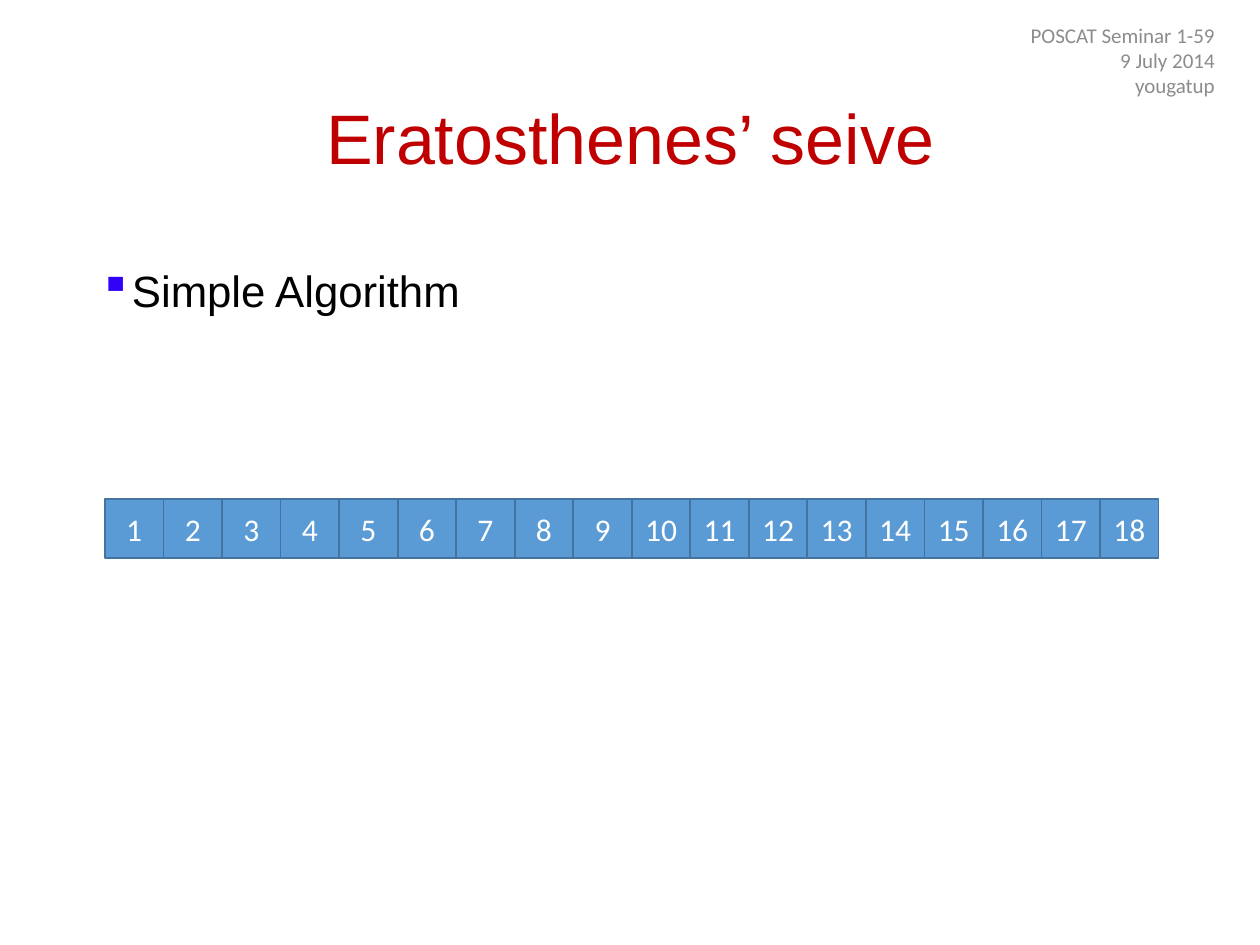
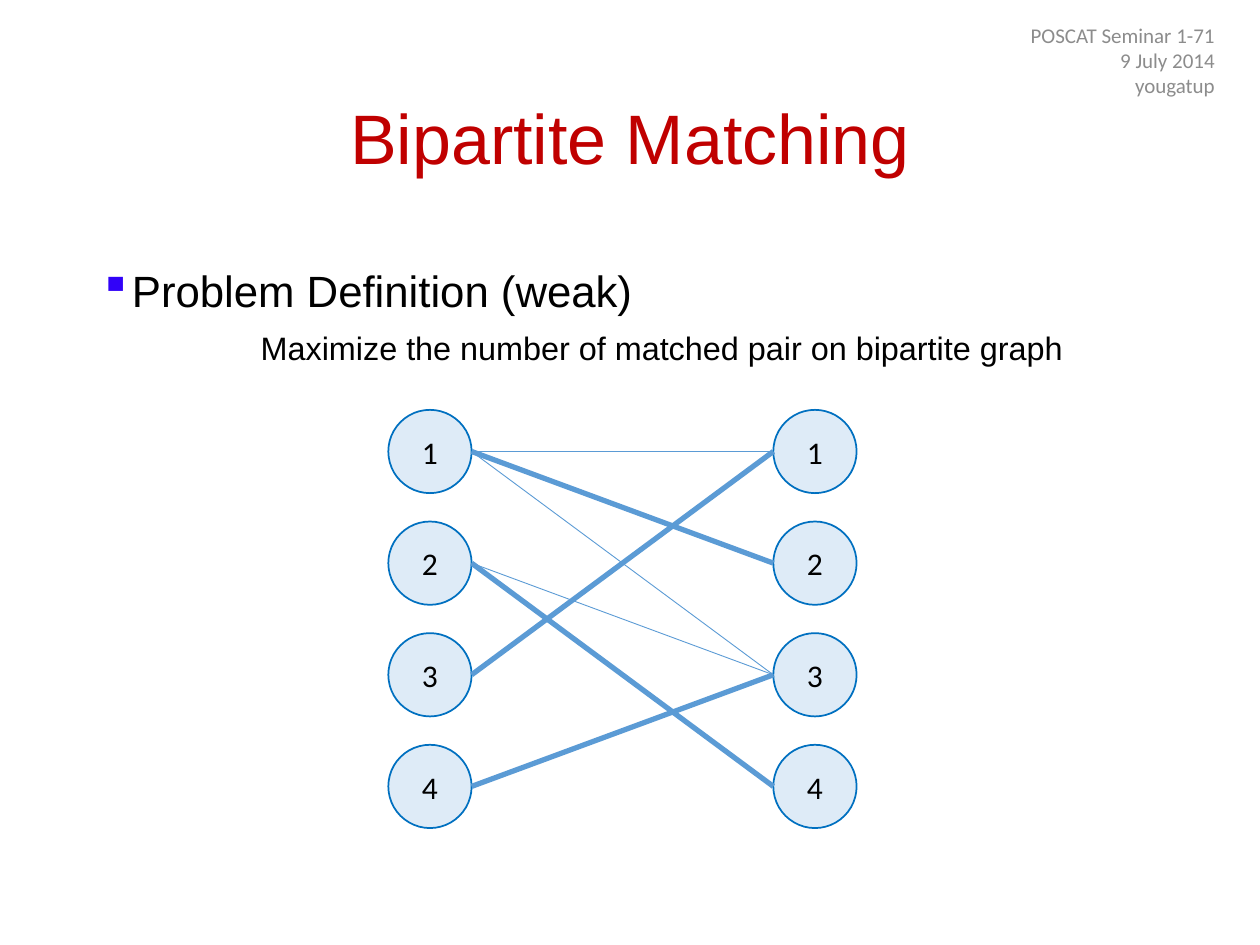
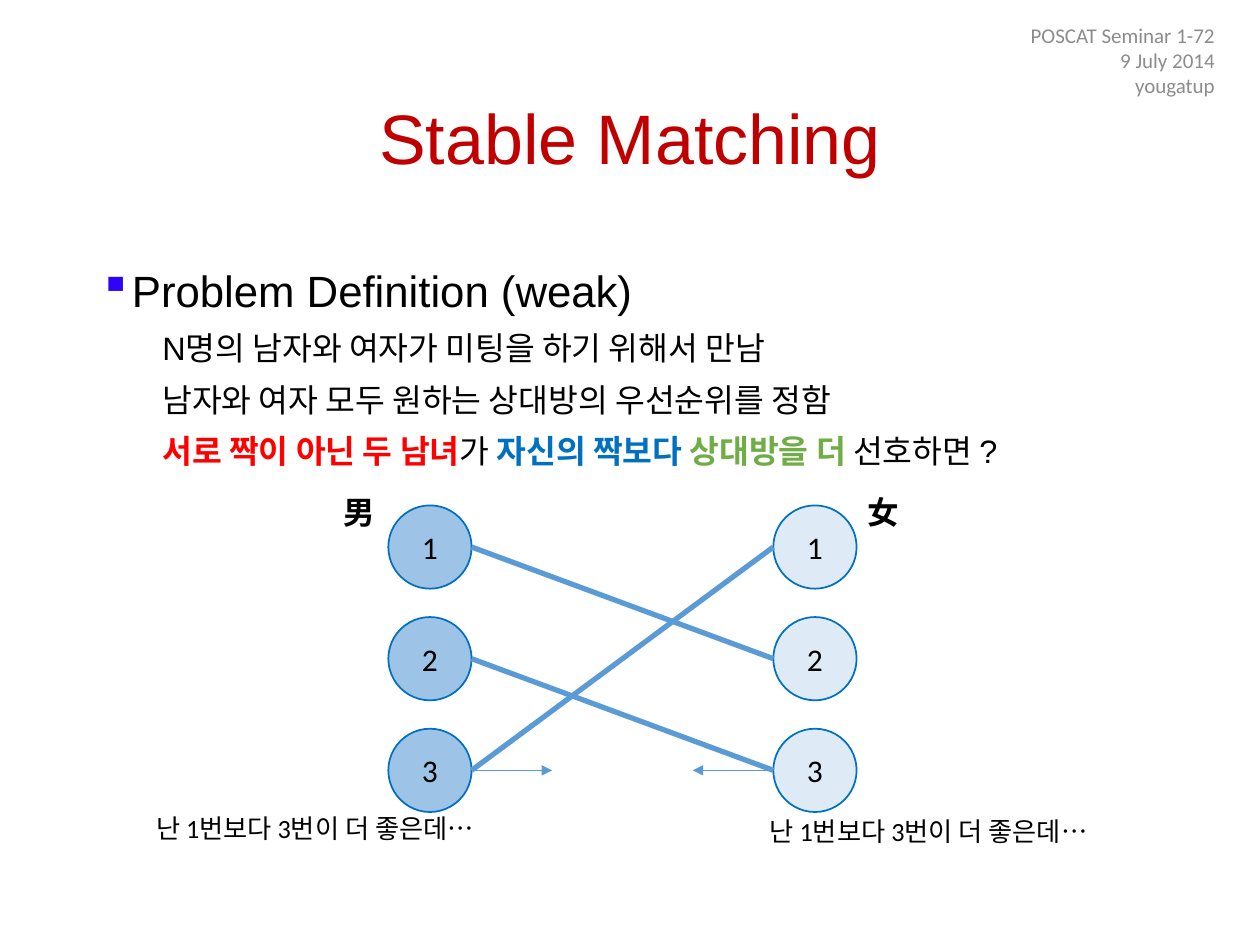
from lxml import etree
from pptx import Presentation
from pptx.dml.color import RGBColor
from pptx.enum import shapes, text
from pptx.oxml.ns import qn
from pptx.util import Pt

COLORS = {
    "title": "C00000", "text": "000000", "bullet": "3102F8", "header": "8C8C8C",
    "cell": "5B9BD5", "cell_line": "43739E", "cell_text": "FFFFFF",
    "pale": "DEEBF7", "medium": "9DC3E6", "node_line": "0070C0", "edge": "5B9BD5",
    "red": "FF0000", "blue": "0070C0", "green": "70AD47",
}
LEFT, CENTER, RIGHT = text.PP_ALIGN.LEFT, text.PP_ALIGN.CENTER, text.PP_ALIGN.RIGHT
TOP, MIDDLE = text.MSO_ANCHOR.TOP, text.MSO_ANCHOR.MIDDLE

# Details are lists of lines; a line is a list of (words, color, bold) runs.
SLIDES = [
    {"page": "1-59", "title": "Eratosthenes’ seive", "heading": "Simple Algorithm",
     "numbers": range(1, 19)},
    {"page": "1-71", "title": "Bipartite Matching", "heading": "Problem Definition (weak)",
     "details": [[("Maximize the number of matched pair on bipartite graph", "text", False)]],
     "details_align": CENTER,
     "graph": {"top": 234.2, "count": 4, "men": "pale", "women": "pale",
               "matched": [(1, 2), (3, 1), (2, 4), (4, 3)],
               "possible": [(1, 1), (2, 3), (1, 3)]}},
    {"page": "1-72", "title": "Stable Matching", "heading": "Problem Definition (weak)",
     "details": [
         [("N명의 남자와 여자가 미팅을 하기 위해서 만남", "text", False)],
         [("남자와 여자 모두 원하는 상대방의 우선순위를 정함", "text", False)],
         [("서로 짝이 아닌 두 남녀", "red", True), ("가 ", "text", False),
          ("자신의 짝보다 ", "blue", True), ("상대방을 더", "green", True),
          (" 선호하면 ?", "text", False)]],
     "graph": {"top": 288.8, "count": 3, "men": "medium", "women": "pale",
               "matched": [(1, 2), (3, 1), (2, 3)], "possible": [],
               "wishes": 3},
     # words, left, top, width, height, size, bold
     "labels": [("난 1번보다 3번이 더 좋은데…", 432.7, 462.2, 205.2, 25.2, 15, False),
                ("난 1번보다 3번이 더 좋은데…", 82.1, 460.8, 208.8, 25.2, 15, False),
                ("男", 189.4, 278, 32.4, 29, 18, True),
                ("女", 488.9, 278, 32.4, 29, 18, True)]},
]

CELL_LEFT, CELL_TOP, CELL = 60, 285.3, 33.45
MEN_LEFT, WOMEN_LEFT, NODE, NODE_STEP = 221.9, 441.9, 47.6, 63.8
WISH_LENGTH = 46


def rgb(color):
    return RGBColor.from_string(COLORS[color])


def add_run(paragraph, words, size, color, font="Calibri", bold=False):
    run = paragraph.add_run()
    run.text = words
    run.font.size, run.font.name, run.font.bold = Pt(size), font, bold
    run.font.color.rgb = rgb(color)


def add_frame(slide, left, top, width, height, anchor=TOP):
    box = slide.shapes.add_textbox(Pt(left), Pt(top), Pt(width), Pt(height))
    box.text_frame.word_wrap = True
    box.text_frame.vertical_anchor = anchor
    return box.text_frame


def add_paragraph(frame, align=LEFT, spacing=None, before=0):
    """Use the frame's first paragraph while it is empty, then add new ones."""
    first = frame.paragraphs[0]
    paragraph = frame.add_paragraph() if first.runs else first
    paragraph.alignment, paragraph.line_spacing = align, spacing
    paragraph.space_before = Pt(before)
    return paragraph


def indent(paragraph, margin, first_line):
    properties = paragraph._p.get_or_add_pPr()
    properties.set("marL", str(Pt(margin)))
    properties.set("indent", str(Pt(first_line)))
    return properties


def add_header(slide, page):
    frame = add_frame(slide, 539.3, 14.4, 162, 39.6, MIDDLE)
    for line in (f"POSCAT Seminar {page}", "9 July 2014", "yougatup"):
        add_run(add_paragraph(frame, RIGHT), line, 12, "header")


def add_title(slide, title):
    frame = add_frame(slide, 49.7, 28.8, 620.6, 104.4, MIDDLE)
    add_run(add_paragraph(frame, CENTER, 0.9), title, 40, "title", "Arial")


def add_body(slide, heading, details, align):
    frame = add_frame(slide, 49.7, 144, 620.6, 342.7)
    paragraph = add_paragraph(frame, LEFT, 1.1, 10)
    properties = indent(paragraph, 18, -18)
    bullet_color = etree.SubElement(properties, qn("a:buClr"))
    etree.SubElement(bullet_color, qn("a:srgbClr"), val=COLORS["bullet"])
    etree.SubElement(properties, qn("a:buChar"), char="▪")
    add_run(paragraph, heading, 25, "text", "Arial")
    for line in details:
        paragraph = add_paragraph(frame, align, 1.1, 5)
        indent(paragraph, 36, 0)
        for words, color, bold in line:
            add_run(paragraph, words, 18.5, color, "Arial", bold)


def add_number(slide, preset, number, left, top, size, fill, line, color):
    shape = slide.shapes.add_shape(preset, Pt(left), Pt(top), Pt(size), Pt(size))
    shape.shadow.inherit = False
    shape.fill.solid()
    shape.fill.fore_color.rgb = rgb(fill)
    shape.line.color.rgb = rgb(line)
    shape.line.width = Pt(1)
    frame = shape.text_frame
    frame.margin_left = frame.margin_right = 0
    frame.vertical_anchor = MIDDLE
    add_run(add_paragraph(frame, CENTER), str(number), 18, color)


def add_edge(slide, x1, y1, x2, y2, width, arrow=False):
    edge = slide.shapes.add_connector(shapes.MSO_CONNECTOR.STRAIGHT,
                                      Pt(x1), Pt(y1), Pt(x2), Pt(y2))
    edge.line.color.rgb = rgb("edge")
    edge.line.width = Pt(width)
    if arrow:
        etree.SubElement(edge.line._get_or_add_ln(), qn("a:tailEnd"), type="triangle")
    etree.SubElement(edge._element.spPr, qn("a:effectLst"))


def add_cells(slide, numbers):
    for column, number in enumerate(numbers):
        add_number(slide, shapes.MSO_SHAPE.RECTANGLE, number, CELL_LEFT + column * CELL,
                   CELL_TOP, CELL, "cell", "cell_line", "cell_text")


def add_graph(slide, graph):
    def node_top(number):
        return graph["top"] + (number - 1) * NODE_STEP

    def node_middle(number):
        return node_top(number) + NODE / 2

    for left, fill in ((MEN_LEFT, graph["men"]), (WOMEN_LEFT, graph["women"])):
        for number in range(1, graph["count"] + 1):
            add_number(slide, shapes.MSO_SHAPE.OVAL, number, left, node_top(number),
                       NODE, fill, "node_line", "text")
    start, end = MEN_LEFT + NODE, WOMEN_LEFT
    for pairs, width in ((graph["matched"], 3), (graph["possible"], 0.5)):
        for man, woman in pairs:
            add_edge(slide, start, node_middle(man), end, node_middle(woman), width)
    if "wishes" in graph:
        y = node_middle(graph["wishes"])
        for x, length in ((start, WISH_LENGTH), (end, -WISH_LENGTH)):
            add_edge(slide, x, y, x + length, y, 0.5, arrow=True)


def main():
    deck = Presentation()
    deck.slide_width, deck.slide_height = Pt(720), Pt(540)
    for content in SLIDES:
        slide = deck.slides.add_slide(deck.slide_layouts[6])
        add_title(slide, content["title"])
        add_body(slide, content["heading"], content.get("details", []),
                 content.get("details_align", LEFT))
        add_header(slide, content["page"])
        if "numbers" in content:
            add_cells(slide, content["numbers"])
        if "graph" in content:
            add_graph(slide, content["graph"])
        for words, left, top, width, height, size, bold in content.get("labels", []):
            frame = add_frame(slide, left, top, width, height)
            add_run(add_paragraph(frame), words, size, "text", bold=bold)
    deck.save("out.pptx")


if __name__ == "__main__":
    main()
